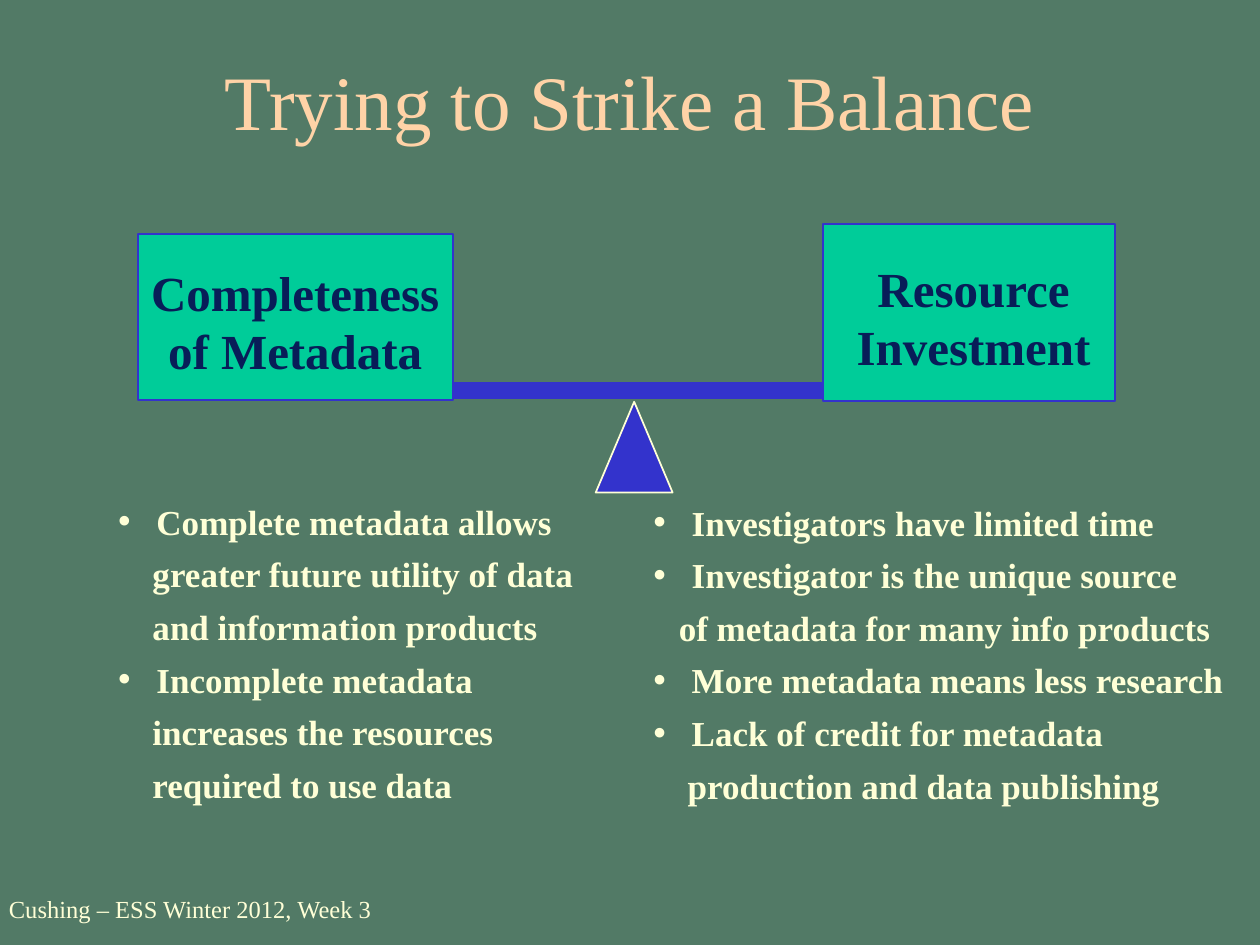
from dataclasses import dataclass
from typing import Any

from lxml.etree import SubElement
from pptx import Presentation
from pptx.dml.color import RGBColor
from pptx.enum.shapes import MSO_CONNECTOR, MSO_SHAPE
from pptx.enum.text import MSO_ANCHOR, MSO_AUTO_SIZE, PP_ALIGN
from pptx.oxml import parse_xml
from pptx.oxml.ns import nsdecls, qn
from pptx.util import Cm, Pt


@dataclass(frozen=True)
class Theme:
    font: str = "Times New Roman"
    background: str = "527A66"
    title: str = "FFD3A7"
    cream: str = "FFFFD7"
    blue: str = "3333CC"
    green: str = "00CC99"
    navy: str = "081D58"
    title_size: int = 44
    label_size: int = 28
    list_size: int = 20
    footer_size: int = 14


@dataclass(frozen=True)
class Area:
    left: float
    top: float
    width: float
    height: float

    def lengths(self) -> tuple:
        return Cm(self.left), Cm(self.top), Cm(self.width), Cm(self.height)


@dataclass(frozen=True)
class Line:
    text: str
    indent: float = 0.79
    bullet: bool = False


@dataclass(frozen=True)
class Weight:
    """One loaded end of the scale."""
    block: Area
    label: Area
    lines: tuple[str, ...]


THEME = Theme()

TITLE = "Trying to Strike a Balance"
FOOTER = "Cushing – ESS Winter 2012, Week 3"

WEIGHTS = (
    Weight(Area(2.79, 4.72, 6.35, 3.35), Area(2.79, 5.16, 6.32, 2.62),
           ("Completeness", "of Metadata")),
    Weight(Area(16.59, 4.52, 5.89, 3.56), Area(17.02, 5.08, 5.21, 2.62),
           ("Resource", "Investment")),
)

LISTS = (
    (Area(2.11, 9.96, 10.8, 6.4), (
        Line("Complete metadata allows", bullet=True),
        Line("greater future utility of data", 0.71),
        Line("and information products", 0.71),
        Line("Incomplete metadata", bullet=True),
        Line("increases the resources", 0.71),
        Line("required to use data", 0.71),
    )),
    (Area(12.9, 9.98, 12.5, 6.4), (
        Line("Investigators have limited time", bullet=True),
        Line("Investigator is the unique source", bullet=True),
        Line("of metadata for many info products", 0.53),
        Line("More metadata means less research", bullet=True),
        Line("Lack of credit for metadata", bullet=True),
        Line("production and data publishing", 0.71),
    )),
)


def rgb(color: str) -> RGBColor:
    return RGBColor.from_string(color)


def add_span(para: Any, text: str, size: int, color: str, bold: bool = False) -> Any:
    span = para.add_run()
    span.text = text
    for name, value in {"name": THEME.font, "size": Pt(size), "bold": bold}.items():
        setattr(span.font, name, value)
    span.font.color.rgb = rgb(color)
    return span


def set_frame(frame: Any, wrap: bool, anchor: MSO_ANCHOR = MSO_ANCHOR.TOP) -> None:
    settings = {"word_wrap": wrap, "auto_size": MSO_AUTO_SIZE.NONE,
                "vertical_anchor": anchor}
    for name, value in settings.items():
        setattr(frame, name, value)


def place(box: Any, area: Area) -> None:
    for name, value in zip(("left", "top", "width", "height"), area.lengths()):
        setattr(box, name, value)


def paragraph_at(frame: Any, index: int) -> Any:
    return frame.add_paragraph() if index else frame.paragraphs[0]


def fill_title(box: Any) -> None:
    place(box, Area(0, 0.84, 25.4, 2.34))
    set_frame(box.text_frame, True, MSO_ANCHOR.MIDDLE)
    para = box.text_frame.paragraphs[0]
    para.alignment = PP_ALIGN.CENTER
    span = add_span(para, TITLE, THEME.title_size, THEME.title)
    # Text shadow follows the fill in the run properties
    shadow = parse_xml(
        f'<a:effectLst {nsdecls("a")}><a:outerShdw dist="35921" dir="2700000">'
        '<a:srgbClr val="000000"/></a:outerShdw></a:effectLst>')
    span.font._element.find(qn("a:solidFill")).addnext(shadow)


def set_bullet(para: Any, line: Line) -> None:
    properties = para._p.get_or_add_pPr()
    margin = Cm(line.indent)
    properties.set("marL", str(margin))
    properties.set("indent", str(-margin if line.bullet else 0))
    if not line.bullet:
        SubElement(properties, qn("a:buNone"))
        return
    color = SubElement(properties, qn("a:buClr"))
    SubElement(color, qn("a:srgbClr"), val=THEME.cream)
    SubElement(properties, qn("a:buSzPct"), val="115000")
    SubElement(properties, qn("a:buFont"), typeface=THEME.font)
    SubElement(properties, qn("a:buChar"), char="•")


def fill_list(box: Any, area: Area, lines: tuple[Line, ...]) -> None:
    place(box, area)
    set_frame(box.text_frame, True)
    for index, line in enumerate(lines):
        para = paragraph_at(box.text_frame, index)
        set_bullet(para, line)
        para.space_before = Pt(0)
        para.space_after = Pt(6)
        add_span(para, line.text, THEME.list_size, THEME.cream, bold=True)


def add_block(group: Any, kind: MSO_SHAPE, area: Area, fill: str, outline: str) -> None:
    block = group.shapes.add_shape(kind, *area.lengths())
    block.shadow.inherit = False
    block.fill.solid()
    block.fill.fore_color.rgb = rgb(fill)
    block.line.color.rgb = rgb(outline)
    block.line.width = Pt(1)


def add_label(group: Any, weight: Weight) -> None:
    box = group.shapes.add_textbox(*weight.label.lengths())
    set_frame(box.text_frame, False)
    for index, text in enumerate(weight.lines):
        para = paragraph_at(box.text_frame, index)
        para.alignment = PP_ALIGN.CENTER
        add_span(para, text, THEME.label_size, THEME.navy, bold=True)


def add_scale(page: Any) -> None:
    group = page.shapes.add_group_shape()
    beam = group.shapes.add_connector(
        MSO_CONNECTOR.STRAIGHT, Cm(6.96), Cm(7.87), Cm(19.74), Cm(7.87))
    beam.line.color.rgb = rgb(THEME.blue)
    beam.line.width = Pt(10)
    SubElement(beam._element.spPr, qn("a:effectLst"))
    for weight in WEIGHTS:
        add_block(group, MSO_SHAPE.RECTANGLE, weight.block, THEME.green, THEME.blue)
        add_label(group, weight)
    add_block(group, MSO_SHAPE.ISOSCELES_TRIANGLE, Area(12.01, 8.1, 1.55, 1.83),
              THEME.blue, THEME.cream)


def add_footer(page: Any) -> None:
    box = page.shapes.add_textbox(*Area(0, 18.01, 7.75, 0.69).lengths())
    set_frame(box.text_frame, False)
    margins = {"margin_left": 0.18, "margin_right": 0.18,
               "margin_top": 0.08, "margin_bottom": 0.08}
    for name, value in margins.items():
        setattr(box.text_frame, name, Cm(value))
    para = box.text_frame.paragraphs[0]
    para.line_spacing = 0.9
    add_span(para, FOOTER, THEME.footer_size, THEME.cream)


def main() -> None:
    deck = Presentation()
    deck.slide_width, deck.slide_height = Cm(25.4), Cm(19.05)
    page = deck.slides.add_slide(deck.slide_layouts.get_by_name("Two Content"))
    page.background.fill.solid()
    page.background.fill.fore_color.rgb = rgb(THEME.background)

    # Title, scale, the two lists below it, footer
    fill_title(page.shapes.title)
    add_scale(page)
    for index, (area, lines) in enumerate(LISTS, start=1):
        fill_list(page.placeholders[index], area, lines)
    add_footer(page)
    deck.save("out.pptx")


if __name__ == "__main__":
    main()
